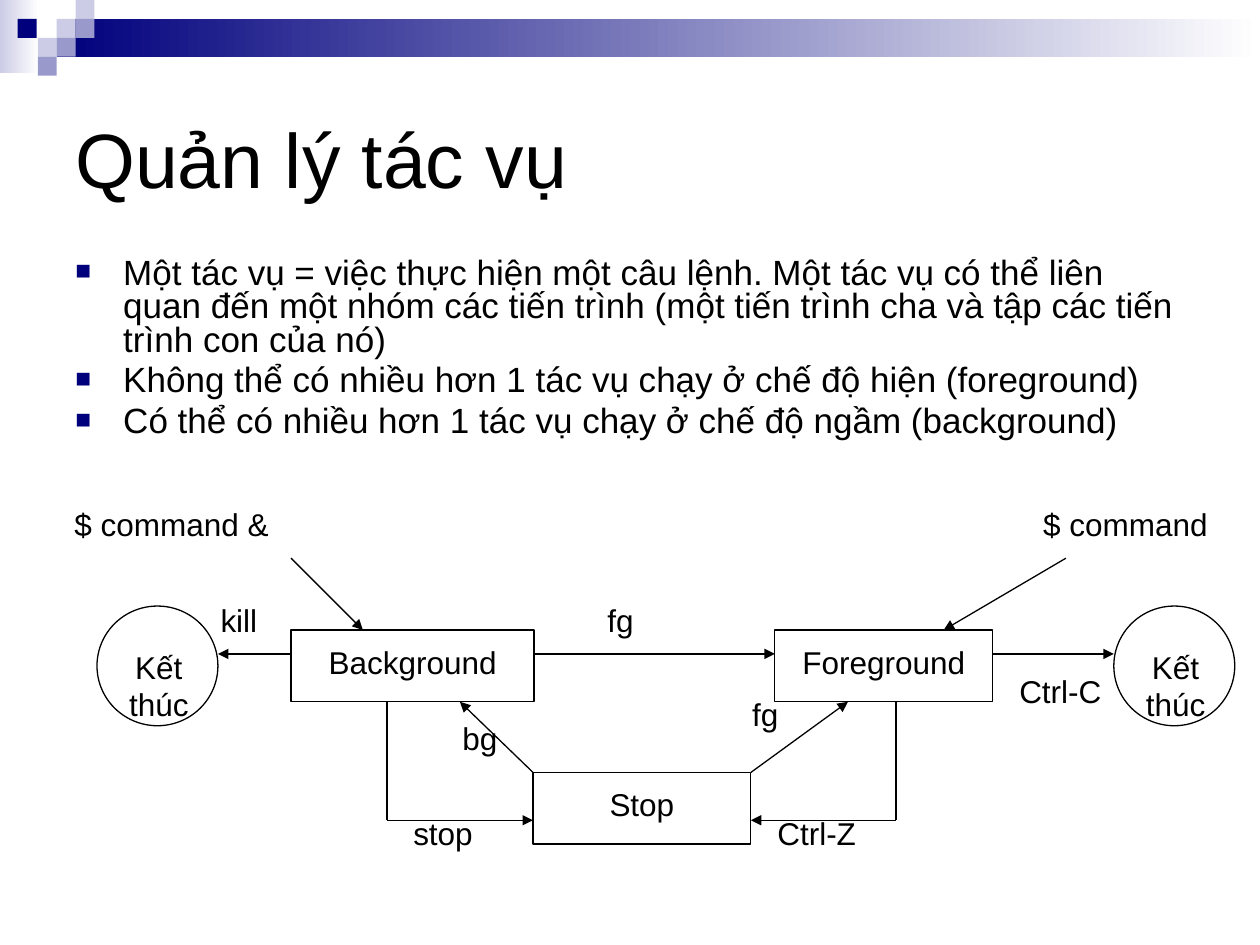
from dataclasses import dataclass

from lxml.etree import SubElement
from pptx import Presentation
from pptx.dml.color import RGBColor
from pptx.enum.shapes import MSO_CONNECTOR, MSO_SHAPE
from pptx.enum.text import MSO_ANCHOR, PP_ALIGN
from pptx.oxml.ns import qn
from pptx.util import Emu, Pt

PX = 9144  # 100 px to the inch
FONT = "Arial"
COLORS = {"ink": "000000", "navy": "00007D", "violet": "9999CC", "pale": "CCCCE6", "white": "FFFFFF"}


@dataclass(frozen=True)
class Box:
    left: int
    top: int
    width: int
    height: int

    def emu(self) -> list[Emu]:
        return [Emu(value * PX) for value in (self.left, self.top, self.width, self.height)]


@dataclass(frozen=True)
class Label:
    text: str
    box: Box
    align: PP_ALIGN = PP_ALIGN.LEFT


@dataclass(frozen=True)
class Link:
    start: tuple[int, int]
    end: tuple[int, int]
    arrow: str = "tailEnd"
    weight: float = 0.75


TILE = 15
TILES = [
    (45, 15, "pale"), (60, 0, "pale"), (60, 15, "violet"), (30, 30, "pale"),
    (14, 15, "navy"), (45, 30, "violet"), (30, 45, "violet"),
]
GRADIENTS = [(Box(0, 0, 31, 58), "pale"), (Box(45, 15, 955, 30), "navy")]

TITLE = Label("Quản lý tác vụ", Box(50, 50, 900, 150))
BULLETS = [
    "Một tác vụ = việc thực hiện một câu lệnh. Một tác vụ có thể liên quan đến một nhóm các "
    "tiến trình (một tiến trình cha và tập các tiến trình con của nó)",
    "Không thể có nhiều hơn 1 tác vụ chạy ở chế độ hiện (foreground)",
    "Có thể có nhiều hơn 1 tác vụ chạy ở chế độ ngầm (background)",
]

STATES = [
    Label("Background", Box(231, 500, 193, 57), PP_ALIGN.CENTER),
    Label("Foreground", Box(615, 500, 173, 57), PP_ALIGN.CENTER),
    Label("Stop", Box(423, 613, 173, 57), PP_ALIGN.CENTER),
]
END_CIRCLES = [Box(left, 481, 96, 95) for left in (77, 884)]
LINKS = [
    Link((231, 519), (173, 519)),
    Link((423, 519), (615, 519)),
    Link((711, 557), (711, 651), "", 1),
    Link((711, 651), (596, 651)),
    Link((307, 557), (307, 651), "", 1),
    Link((307, 651), (423, 651)),
    Link((788, 519), (884, 519)),
    Link((231, 443), (288, 500)),
    Link((846, 443), (749, 500)),
    Link((365, 557), (423, 613), "headEnd"),
    Link((596, 613), (673, 557)),
]
LABELS = [
    Label("$ command", Box(827, 400, 173, 38)),
    Label("$ command &", Box(58, 400, 192, 38)),
    Label("fg", Box(481, 476, 39, 38)),
    Label("kill", Box(174, 476, 58, 38)),
    Label("Ctrl-C", Box(808, 532, 96, 38)),
    Label("fg", Box(596, 551, 39, 38)),
    Label("bg", Box(366, 570, 39, 38)),
    Label("Ctrl-Z", Box(616, 645, 173, 38)),
    Label("stop", Box(327, 645, 58, 38)),
    *(Label("Kết thúc", Box(left, 513, 58, 38), PP_ALIGN.CENTER) for left in (97, 904)),
]


def color(name: str) -> RGBColor:
    return RGBColor.from_string(COLORS[name])


def format_runs(paragraph, size: int) -> None:
    for run in paragraph.runs:
        run.font.name = FONT
        run.font.size = Pt(size)
        run.font.color.rgb = color("ink")


def add_plain_shape(slide, kind: MSO_SHAPE, box: Box):
    shape = slide.shapes.add_shape(kind, *box.emu())
    shape.shadow.inherit = False
    shape.line.fill.background()
    return shape


def add_gradient(slide, box: Box, start: str) -> None:
    fill = add_plain_shape(slide, MSO_SHAPE.RECTANGLE, box).fill
    fill.gradient()
    fill.gradient_angle = 0
    for stop, name in zip(fill.gradient_stops, (start, "white")):
        stop.color.rgb = color(name)


def add_tile(slide, left: int, top: int, name: str) -> None:
    shape = add_plain_shape(slide, MSO_SHAPE.RECTANGLE, Box(left, top, TILE, TILE))
    shape.fill.solid()
    shape.fill.fore_color.rgb = color(name)


def add_outline(slide, kind: MSO_SHAPE, box: Box):
    shape = add_plain_shape(slide, kind, box)
    shape.fill.background()
    shape.line.color.rgb = color("ink")
    shape.line.width = Pt(0.75)
    return shape


def write_label(shape, label: Label, spacing: float = 1.0) -> None:
    frame = shape.text_frame
    frame.word_wrap = True
    frame.vertical_anchor = MSO_ANCHOR.TOP
    frame.margin_left = frame.margin_right = frame.margin_top = frame.margin_bottom = Emu(PX)
    frame.text = label.text
    paragraph = frame.paragraphs[0]
    paragraph.alignment = label.align
    paragraph.line_spacing = spacing
    format_runs(paragraph, 18)


def add_link(slide, link: Link) -> None:
    points = [Emu(value * PX) for value in (*link.start, *link.end)]
    connector = slide.shapes.add_connector(MSO_CONNECTOR.STRAIGHT, *points)
    connector.line.color.rgb = color("ink")
    connector.line.width = Pt(link.weight)
    if link.arrow:
        SubElement(connector.line._get_or_add_ln(), qn(f"a:{link.arrow}"), type="triangle")
    SubElement(connector._element.spPr, qn("a:effectLst"))


def add_title(slide, title: Label) -> None:
    frame = slide.shapes.add_textbox(*title.box.emu()).text_frame
    frame.word_wrap = True
    frame.vertical_anchor = MSO_ANCHOR.MIDDLE
    frame.text = title.text
    format_runs(frame.paragraphs[0], 44)


def add_square_bullet(paragraph) -> None:
    properties = paragraph._p.get_or_add_pPr()
    indent = 38 * PX
    properties.set("marL", str(indent))
    properties.set("indent", str(-indent))
    bullet_color = SubElement(properties, qn("a:buClr"))
    SubElement(bullet_color, qn("a:srgbClr"), val=COLORS["navy"])
    SubElement(properties, qn("a:buSzPct"), val="75000")
    SubElement(properties, qn("a:buFont"), typeface=FONT)
    SubElement(properties, qn("a:buChar"), char="■")


def add_bullets(slide, box: Box, texts: list[str]) -> None:
    frame = slide.shapes.add_textbox(*box.emu()).text_frame
    frame.word_wrap = True
    frame.text = "\n".join(texts)
    for index, paragraph in enumerate(frame.paragraphs):
        add_square_bullet(paragraph)
        paragraph.line_spacing = 0.8
        paragraph.space_before = Pt(4 if index else 0)
        format_runs(paragraph, 20)


def main() -> None:
    presentation = Presentation()
    presentation.slide_width, presentation.slide_height = Emu(1000 * PX), Emu(750 * PX)
    slide = presentation.slides.add_slide(presentation.slide_layouts[6])

    for box, start in GRADIENTS:
        add_gradient(slide, box, start)
    for tile in TILES:
        add_tile(slide, *tile)
    add_title(slide, TITLE)
    add_bullets(slide, Box(50, 200, 900, 200), BULLETS)

    for link in LINKS:
        add_link(slide, link)
    for circle in END_CIRCLES:
        add_outline(slide, MSO_SHAPE.OVAL, circle)
    for state in STATES:
        write_label(add_outline(slide, MSO_SHAPE.RECTANGLE, state.box), state, 1.3)
    for label in LABELS:
        write_label(slide.shapes.add_textbox(*label.box.emu()), label)
    presentation.save("out.pptx")


if __name__ == "__main__":
    main()
